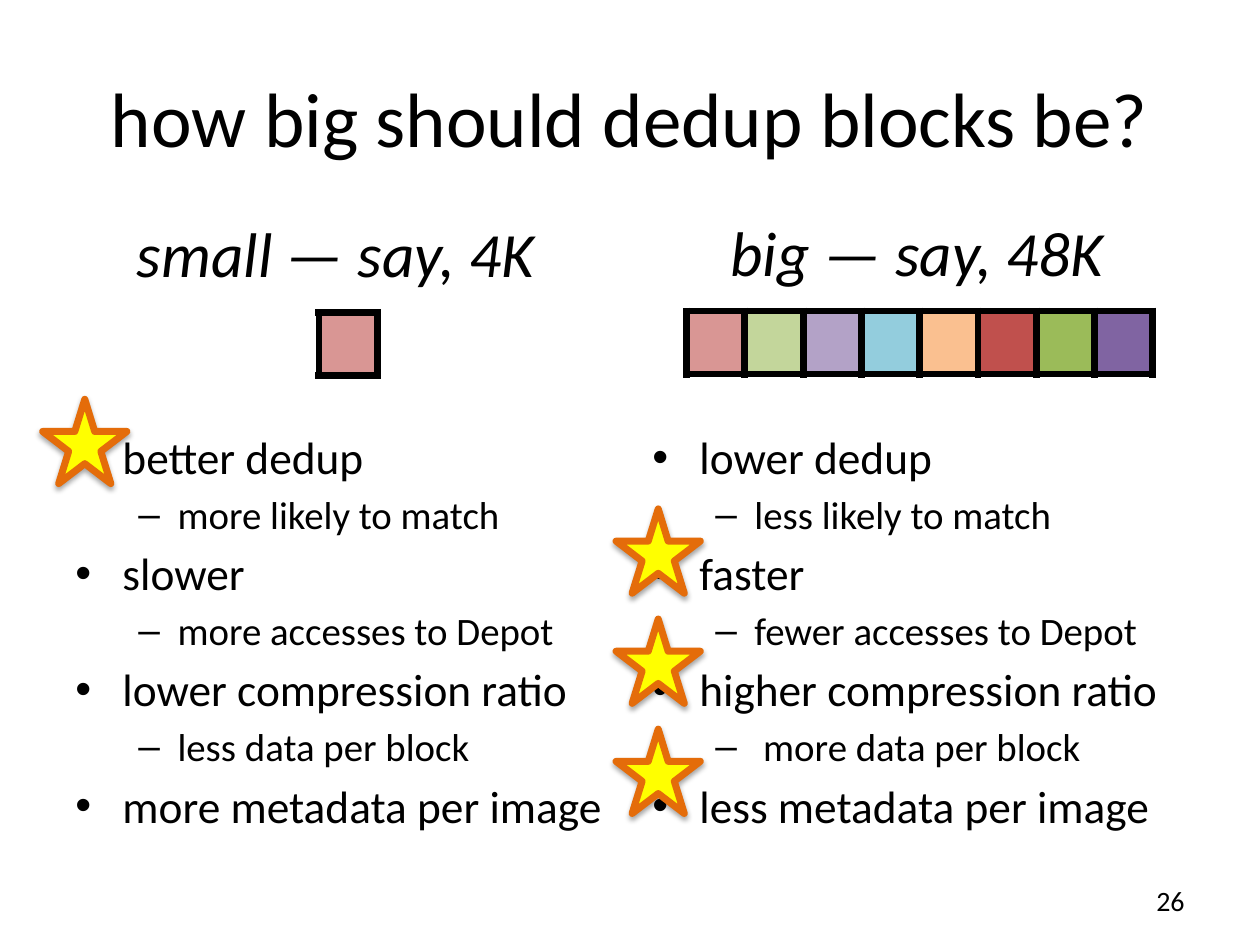
from lxml.etree import SubElement
from pptx import Presentation
from pptx.dml.color import RGBColor
from pptx.enum.shapes import MSO_SHAPE as Shape
from pptx.enum.text import MSO_ANCHOR as Anchor, PP_ALIGN as Align
from pptx.oxml.ns import qn
from pptx.util import Cm, Pt

COLORS = {
    "black": "000000", "yellow": "FFFF00", "dark orange": "E46C0A",
    "rose": "D99694", "lime": "C3D69B", "lilac": "B3A2C7", "sky": "93CDDD",
    "peach": "FAC090", "red": "C0504D", "green": "9BBB59", "purple": "8064A2",
}
BLOCKS = ["rose", "lime", "lilac", "sky", "peach", "red", "green", "purple"]
LEVELS = [
    {"size": 25.9, "bullet": "•", "left": Cm(0.95), "hang": Cm(0.95)},
    {"size": 22.2, "bullet": "–", "left": Cm(2.06), "hang": Cm(0.79)},
]
SMALL_POINTS = [
    "better dedup", "more likely to match", "slower", "more accesses to Depot",
    "lower compression ratio", "less data per block", "more metadata per image",
]
BIG_POINTS = [
    "lower dedup", "less likely to match", "faster", "fewer accesses to Depot",
    "higher compression ratio", " more data per block", "less metadata per image",
]


def color(name):
    """Return the named colour."""
    return RGBColor.from_string(COLORS[name])


def style_font(paragraph, size, italic=False):
    """Set the slide's typeface on a paragraph."""
    font = paragraph.font
    font.name, font.size, font.italic = "Calibri", Pt(size), italic
    font.color.rgb = color("black")


def add_text(slide, box, text, size, align=Align.LEFT, anchor=Anchor.TOP, wrap=True, italic=False):
    """Add a text box with one paragraph."""
    frame = slide.shapes.add_textbox(*map(Cm, box)).text_frame
    frame.word_wrap, frame.vertical_anchor = wrap, anchor
    paragraph = frame.paragraphs[0]
    paragraph.text, paragraph.alignment = text, align
    style_font(paragraph, size, italic)


def add_bullets(slide, left, points):
    """Add a list whose lines alternate between the two levels."""
    frame = slide.shapes.add_textbox(Cm(left), Cm(8.53), Cm(11.23), Cm(8.48)).text_frame
    frame.word_wrap = True
    for index, point in enumerate(points):
        paragraph = frame.paragraphs[0] if index == 0 else frame.add_paragraph()
        level = LEVELS[index % 2]
        paragraph.text, paragraph.level = point, index % 2
        paragraph.space_before = Pt(level["size"] * 0.18)
        style_font(paragraph, level["size"])
        properties = paragraph._p.get_or_add_pPr()
        properties.set("marL", str(level["left"]))
        properties.set("indent", str(-level["hang"]))
        bullet_font = SubElement(properties, qn("a:buFont"), typeface="Arial")
        bullet_font.addnext(SubElement(properties, qn("a:buChar"), char=level["bullet"]))
        properties.remove(properties.find(qn("a:defRPr")))
        style_font(paragraph, level["size"])


def add_borders(cell):
    """Draw a thick black line on each side of a cell."""
    properties = cell._tc.get_or_add_tcPr()
    for side in "LRTB":
        line = SubElement(properties, qn(f"a:ln{side}"), w=str(Pt(4.5)))
        fill = SubElement(line, qn("a:solidFill"))
        SubElement(fill, qn("a:srgbClr"), val=COLORS["black"])


def add_blocks(slide, left, top, names):
    """Add a one-row table with a coloured cell for each block."""
    width, height = Cm(1.175), Cm(1.27)
    frame = slide.shapes.add_table(1, len(names), Cm(left), Cm(top), width * len(names), height)
    table = frame.table
    table.first_row = table.horz_banding = False
    for column, name in enumerate(names):
        table.columns[column].width = width
        cell = table.cell(0, column)
        add_borders(cell)
        cell.fill.solid()
        cell.fill.fore_color.rgb = color(name)


def add_star(slide, left, top):
    """Add a yellow star with a soft shadow below it."""
    star = slide.shapes.add_shape(Shape.STAR_5_POINT, Cm(left), Cm(top), Cm(1.7), Cm(1.7))
    star.fill.solid()
    star.fill.fore_color.rgb = color("yellow")
    star.line.color.rgb = color("dark orange")
    star.line.width = Pt(4)
    star.shadow.inherit = False
    effects = star._element.spPr.find(qn("a:effectLst"))
    shadow = SubElement(effects, qn("a:outerShdw"), blurRad=str(Pt(3.1)),
                        dist=str(Pt(1.8)), dir="5400000", rotWithShape="0")
    tint = SubElement(shadow, qn("a:srgbClr"), val=COLORS["black"])
    SubElement(tint, qn("a:alpha"), val="35000")


def main():
    """Build the slide and save it."""
    presentation = Presentation()
    presentation.slide_width, presentation.slide_height = Cm(25.4), Cm(19.05)
    slide = presentation.slides.add_slide(presentation.slide_layouts[6])
    add_text(slide, (1.27, 0.76, 22.86, 3.18), "how big should dedup blocks be?", 44,
             Align.CENTER, Anchor.MIDDLE)
    add_bullets(slide, 1.27, SMALL_POINTS)
    add_bullets(slide, 12.9, BIG_POINTS)
    add_text(slide, (18.2, 17.65, 5.93, 1.01), "26", 16, Align.RIGHT, Anchor.MIDDLE)
    add_blocks(slide, 13.84, 6.27, BLOCKS)
    add_text(slide, (14.48, 4.17, 8.48, 1.8), "big — say, 48K", 36, wrap=False, italic=True)
    add_blocks(slide, 6.43, 6.3, BLOCKS[:1])
    add_text(slide, (2.51, 4.19, 8.99, 1.8), "small — say, 4K", 36, wrap=False, italic=True)
    add_star(slide, 0.86, 8.05)
    for row in range(3):
        add_star(slide, 12.42, 10.26 + row * 2.22)
    presentation.save("out.pptx")


if __name__ == "__main__":
    main()
